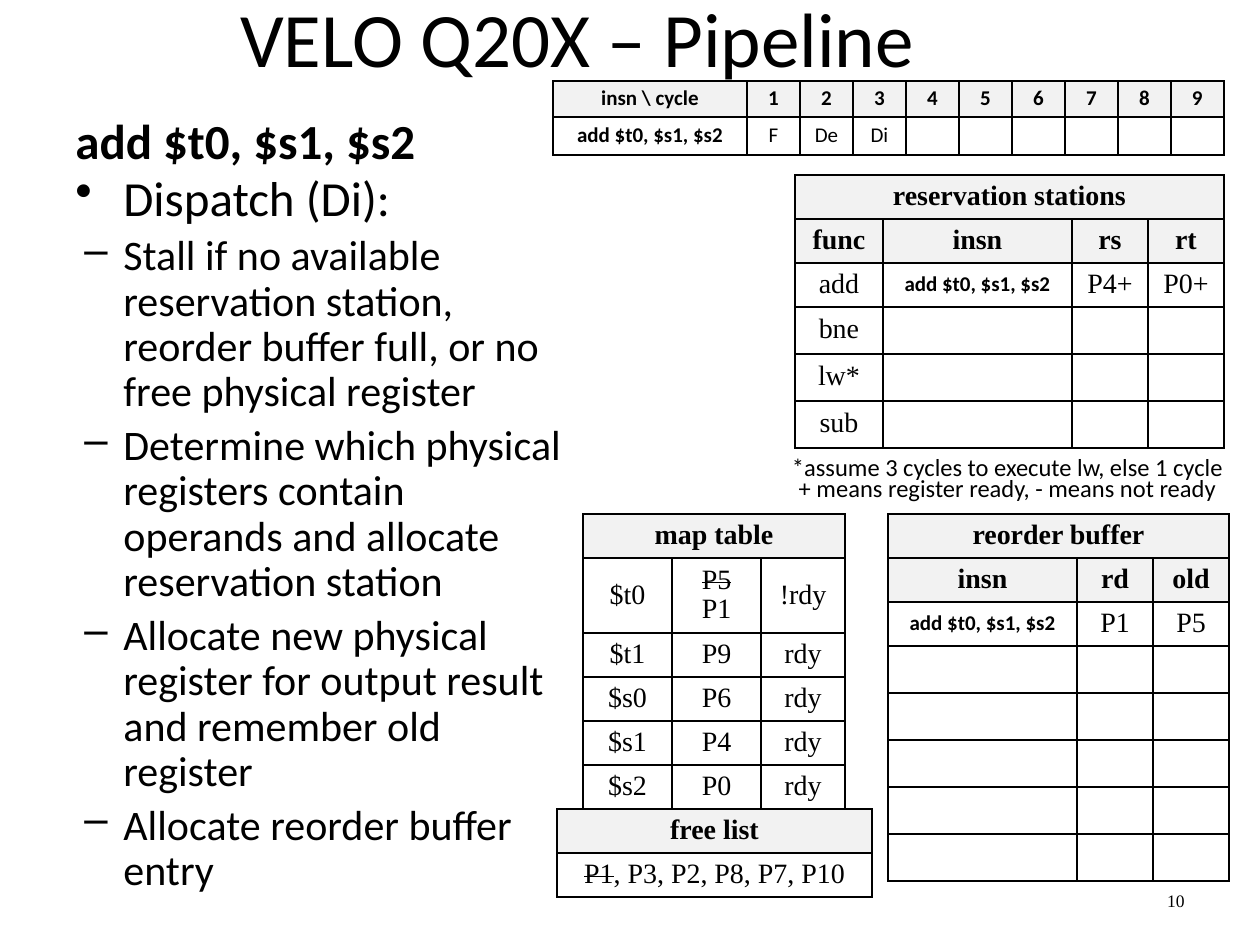
from lxml import etree
from pptx import Presentation
from pptx import util as u
from pptx.dml.color import RGBColor
from pptx.enum import text
from pptx.oxml.ns import qn

COLORS = {"ink": "000000", "header": "F2F2F2", "body": "FFFFFF"}
SANS, SERIF = "Calibri", "Times New Roman"
INSN = "add $t0, $s1, $s2"
LEFT, CENTER, RIGHT = text.PP_ALIGN.LEFT, text.PP_ALIGN.CENTER, text.PP_ALIGN.RIGHT
TOP, MIDDLE = text.MSO_ANCHOR.TOP, text.MSO_ANCHOR.MIDDLE

LABELS = [
    ("VELO Q20X – Pipeline", (63, -42, 1029, 158), 44, SANS, CENTER),
    ("10", (1050, 876, 147, 50), 10, SERIF, RIGHT),
    ("*assume 3 cycles to execute lw, else 1 cycle", (766, 435, 483, 63), 14, SANS, CENTER),
    ("+ means register ready, - means not ready", (766, 456, 483, 63), 14, SANS, CENTER),
]

STEPS_AT = (63, 116, 520, 624)
STEPS = [
    (INSN, "heading"),
    ("Dispatch (Di):", "stage"),
    ("Stall if no available reservation station, reorder buffer full, "
     "or no free physical register", "detail"),
    ("Determine which physical registers contain operands and allocate "
     "reservation station", "detail"),
    ("Allocate new physical register for output result and remember old register", "detail"),
    ("Allocate reorder buffer entry", "detail"),
]
STEP_STYLES = {
    "heading": dict(size=28, spacing=0.8, bold=True, bullet=None, margin=0, indent=0),
    "stage": dict(size=28, spacing=0.8, bold=False, bullet="•", margin=48, indent=-48),
    "detail": dict(size=24, spacing=0.9, bold=False, bullet="–", margin=48, indent=-39),
}

TABLES = [
    dict(at=(553, 81), cols=[194] + [53] * 9, rows=[36, 38], headers=1, compact=True,
         cells=[["insn \\ cycle", *"123456789"], [INSN, "F", "De", "Di"]]),
    dict(at=(583, 514), cols=[89, 89, 84], rows=[44, 75] + [44] * 4, headers=1,
         cells=[["map table"],
                ["$t0", [("P5", True), (" P1", False)], "!rdy"],
                ["$t1", "P9", "rdy"],
                ["$s0", "P6", "rdy"],
                ["$s1", "P4", "rdy"],
                ["$s2", "P0", "rdy"]]),
    dict(at=(557, 809), cols=[315], rows=[44, 44], headers=1,
         cells=[["free list"], [[("P1", True), (", P3, P2, P8, P7, P10", False)]]]),
    dict(at=(795, 175), cols=[88, 189, 76, 76], rows=[44] * 3 + [47] * 3, headers=2,
         cells=[["reservation stations"],
                ["func", "insn", "rs", "rt"],
                ["add", INSN, "P4+", "P0+"],
                ["bne"], ["lw*"], ["sub"]]),
    dict(at=(888, 514), cols=[189, 76, 76], rows=[44] * 3 + [47] * 5, headers=2,
         cells=[["reorder buffer"], ["insn", "rd", "old"], [INSN, "P1", "P5"]]),
]


def px(length):
    return u.Emu(round(length * 914400 / 126))


def color(name):
    return RGBColor.from_string(COLORS[name])


def add_span(para, words, size, font, bold=False, struck=False):
    span = para.add_run()
    span.text = words
    span.font.size = u.Pt(size)
    span.font.name = font
    span.font.bold = bold
    span.font.color.rgb = color("ink")
    if struck:
        span.font._element.set("strike", "sngStrike")


def add_box(page, at, anchor):
    frame = page.shapes.add_textbox(*map(px, at)).text_frame
    frame.word_wrap = True
    frame.vertical_anchor = anchor
    return frame


def add_steps(page):
    frame = add_box(page, STEPS_AT, TOP)
    for index, (words, kind) in enumerate(STEPS):
        style = STEP_STYLES[kind]
        para = frame.add_paragraph() if index else frame.paragraphs[0]
        para.alignment = LEFT
        para.line_spacing = style["spacing"]
        para.space_before = u.Pt(style["size"] * 0.2 if index else 0)
        if style["bullet"]:
            props = para._p.get_or_add_pPr()
            props.set("marL", str(px(style["margin"])))
            props.set("indent", str(px(style["indent"])))
            etree.SubElement(props, qn("a:buChar")).set("char", style["bullet"])
        add_span(para, words, style["size"], SANS, style["bold"])


def add_borders(cell):
    props = cell._tc.get_or_add_tcPr()
    for index, side in enumerate(("lnL", "lnR", "lnT", "lnB")):
        line = etree.Element(qn("a:" + side), w=str(u.Pt(1)))
        fill = etree.SubElement(line, qn("a:solidFill"))
        etree.SubElement(fill, qn("a:srgbClr")).set("val", COLORS["ink"])
        props.insert(index, line)


def fill_cell(cell, content, header, compact):
    cell.fill.solid()
    cell.fill.fore_color.rgb = color("header" if header else "body")
    add_borders(cell)
    cell.vertical_anchor = MIDDLE
    para = cell.text_frame.paragraphs[0]
    para.alignment = CENTER
    small = compact or content == INSN
    size, font, spacing = (12, SANS, 0.9) if small else (16, SERIF, 0.92)
    para.line_spacing = spacing
    if not content:
        para.font.size = u.Pt(size)
        return
    spans = [(content, False)] if isinstance(content, str) else content
    for words, struck in spans:
        add_span(para, words, size, font, header or content == INSN, struck)


def add_grid(page, at, cols, rows, headers, cells, compact=False):
    size = sum(cols), sum(rows)
    table = page.shapes.add_table(len(rows), len(cols), *map(px, at + size)).table
    table.first_row = table.horz_banding = False
    for column, width in zip(table.columns, cols):
        column.width = px(width)
    for row, height in zip(table.rows, rows):
        row.height = px(height)
    for r in range(len(rows)):
        contents = cells[r] if r < len(cells) else []
        for c in range(len(cols)):
            content = contents[c] if c < len(contents) else ""
            fill_cell(table.cell(r, c), content, r < headers, compact)
    if len(cells[0]) < len(cols):
        table.cell(0, 0).merge(table.cell(0, len(cols) - 1))


def main():
    deck = Presentation()
    deck.slide_width, deck.slide_height = px(1260), px(945)
    page = deck.slides.add_slide(deck.slide_layouts[6])
    for words, at, size, font, align in LABELS:
        para = add_box(page, at, MIDDLE).paragraphs[0]
        para.alignment = align
        add_span(para, words, size, font)
    for grid in TABLES:
        add_grid(page, **grid)
    add_steps(page)
    deck.save("out.pptx")


if __name__ == "__main__":
    main()
